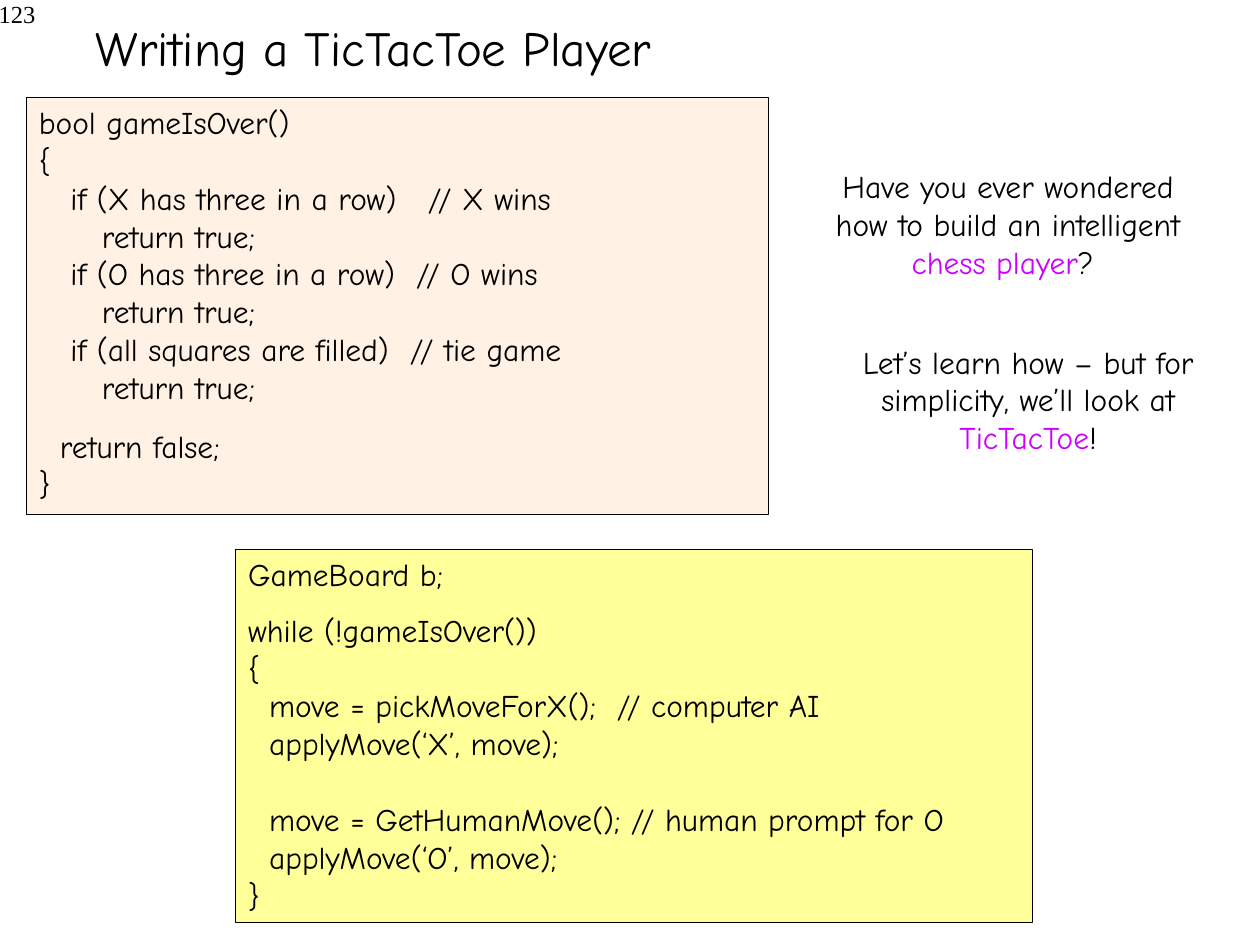
from dataclasses import dataclass

from pptx import Presentation
from pptx.dml.color import RGBColor
from pptx.enum.shapes import MSO_SHAPE
from pptx.enum.text import MSO_ANCHOR, PP_ALIGN
from pptx.util import Inches, Pt

COLORS = {"text": "000000", "accent": "CC00FF", "peach": "FFF2E5", "yellow": "FFFF99"}
FONT = "Comic Neue"


@dataclass
class Area:
    left: float
    top: float
    width: float
    height: float

    def lengths(self) -> list:
        return [Inches(v) for v in (self.left, self.top, self.width, self.height)]


@dataclass
class CodePanel:
    area: Area
    fill: str
    lines: list[str]
    gaps: dict[int, int]  # line index -> points of space before it


@dataclass
class Remark:
    area: Area
    lead: str
    accent: str
    ending: str


PANELS = [
    CodePanel(Area(1.87, 4.36, 6.32, 2.96), "yellow", [
        "GameBoard b;",
        "while (!gameIsOver())",
        "{",
        "  move = pickMoveForX();  // computer AI",
        "  applyMove(‘X’, move);",
        "  move = GetHumanMove(); // human prompt for O",
        "  applyMove(‘O’, move);",
        "}",
    ], {1: 10, 5: 22}),
    CodePanel(Area(0.21, 0.77, 5.89, 3.31), "peach", [
        "bool gameIsOver()",
        "{",
        "   if (X has three in a row)   // X wins",
        "      return true;",
        "   if (O has three in a row)  // O wins",
        "      return true;",
        "   if (all squares are filled)  // tie game",
        "      return true;",
        "  return false;",
        "}",
    ], {8: 12}),
]

REMARKS = [
    Remark(Area(6.36, 1.28, 3.28, 1.01),
           "Have you ever wondered how to build an intelligent ", "chess player", "? "),
    Remark(Area(6.52, 2.67, 3.28, 1.01),
           "Let’s learn how – but for simplicity, we’ll look at ", "TicTacToe", "!"),
]


def add_span(para, text: str, color: str = "text", size: int = 18, font: str = FONT) -> None:
    span = para.add_run()
    span.text = text
    for name, value in {"name": font, "size": Pt(size), "bold": False}.items():
        setattr(span.font, name, value)
    span.font.color.rgb = RGBColor.from_string(COLORS[color])


def format_frame(frame, **values) -> None:
    for name, value in values.items():
        setattr(frame, name, value)


def add_title(page, text: str, area: Area) -> None:
    title = page.shapes.title
    for name, value in zip(("left", "top", "width", "height"), area.lengths()):
        setattr(title, name, value)
    format_frame(title.text_frame, word_wrap=True, vertical_anchor=MSO_ANCHOR.MIDDLE)
    para = title.text_frame.paragraphs[0]
    para.alignment = PP_ALIGN.CENTER
    add_span(para, text, size=28)


def add_page_number(page, text: str, area: Area) -> None:
    box = page.shapes.add_textbox(*area.lengths())
    box.text_frame.word_wrap = True
    para = box.text_frame.paragraphs[0]
    para.alignment = PP_ALIGN.RIGHT
    add_span(para, text, size=14, font="Times New Roman")


def add_code_panel(page, panel: CodePanel) -> None:
    box = page.shapes.add_shape(MSO_SHAPE.RECTANGLE, *panel.area.lengths())
    box.shadow.inherit = False
    box.fill.solid()
    box.fill.fore_color.rgb = RGBColor.from_string(COLORS[panel.fill])
    box.line.color.rgb = RGBColor.from_string(COLORS["text"])
    box.line.width = Pt(0.25)
    frame = box.text_frame
    format_frame(frame, word_wrap=True, vertical_anchor=MSO_ANCHOR.TOP)
    for index, line in enumerate(panel.lines):
        para = frame.add_paragraph() if index else frame.paragraphs[0]
        para.alignment = PP_ALIGN.LEFT
        if index in panel.gaps:
            para.space_before = Pt(panel.gaps[index])
        add_span(para, line)


def add_remark(page, remark: Remark) -> None:
    box = page.shapes.add_textbox(*remark.area.lengths())
    box.text_frame.word_wrap = True
    para = box.text_frame.paragraphs[0]
    para.alignment = PP_ALIGN.CENTER
    add_span(para, remark.lead)
    add_span(para, remark.accent, "accent")
    add_span(para, remark.ending)


def main() -> None:
    deck = Presentation()
    deck.slide_width, deck.slide_height = Inches(10), Inches(7.5)
    page = deck.slides.add_slide(deck.slide_layouts[5])
    add_page_number(page, "123", Area(-1.7, -0.06, 2.08, 0.5))
    for panel in PANELS:
        add_code_panel(page, panel)
    add_title(page, "Writing a TicTacToe Player", Area(-0.58, -0.25, 7.09, 1.25))
    for remark in REMARKS:
        add_remark(page, remark)
    deck.save("out.pptx")


if __name__ == "__main__":
    main()
